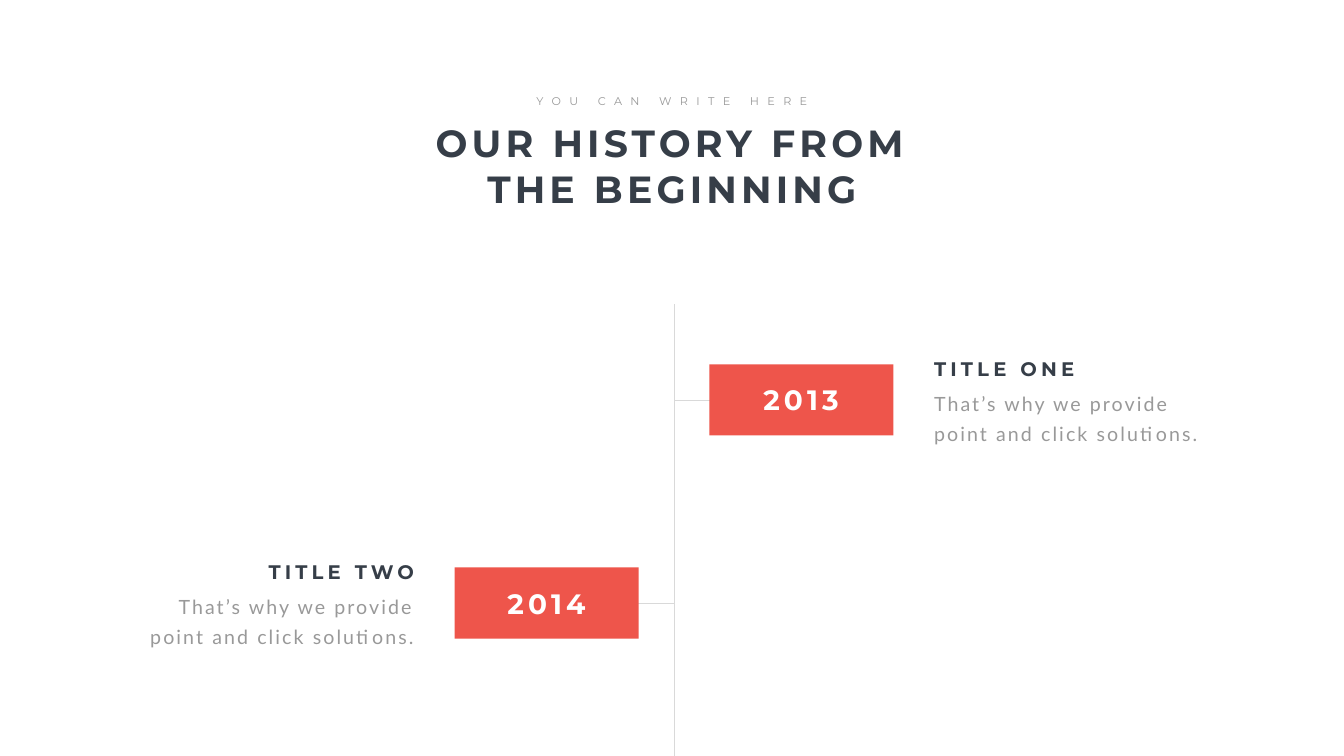
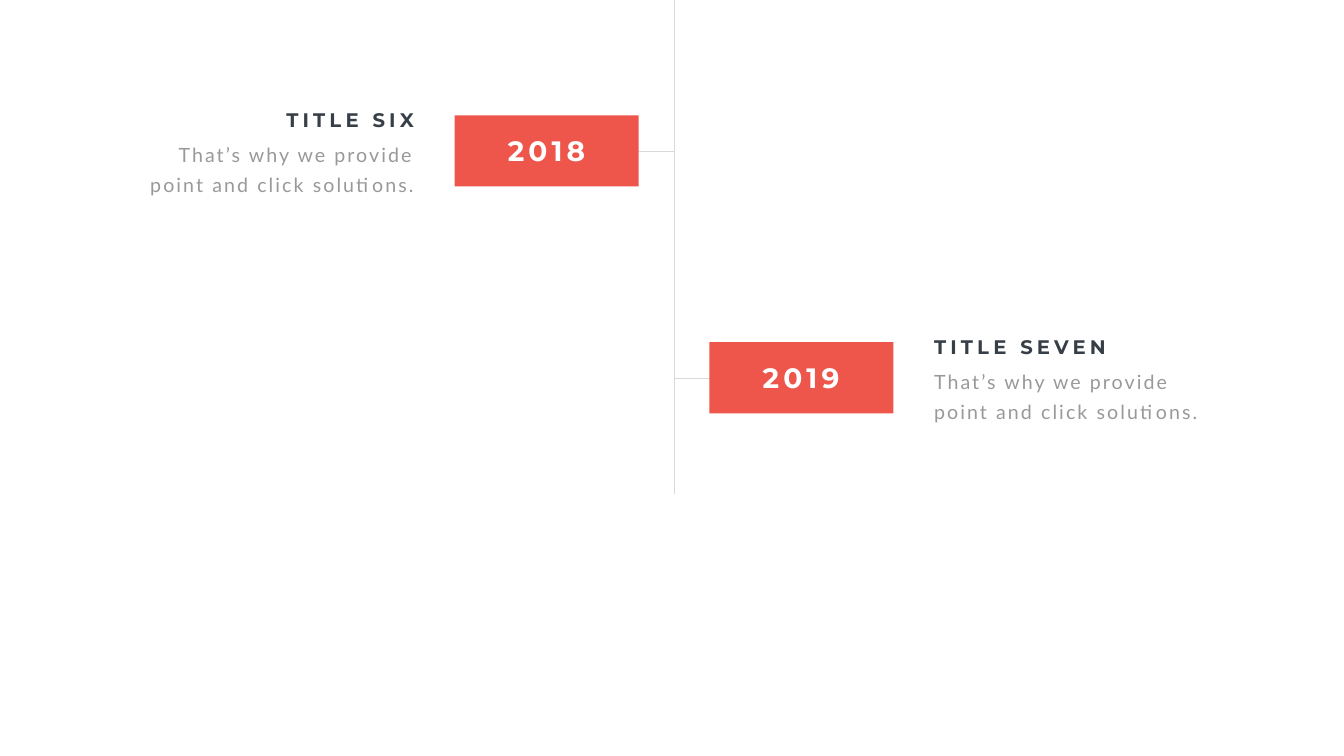
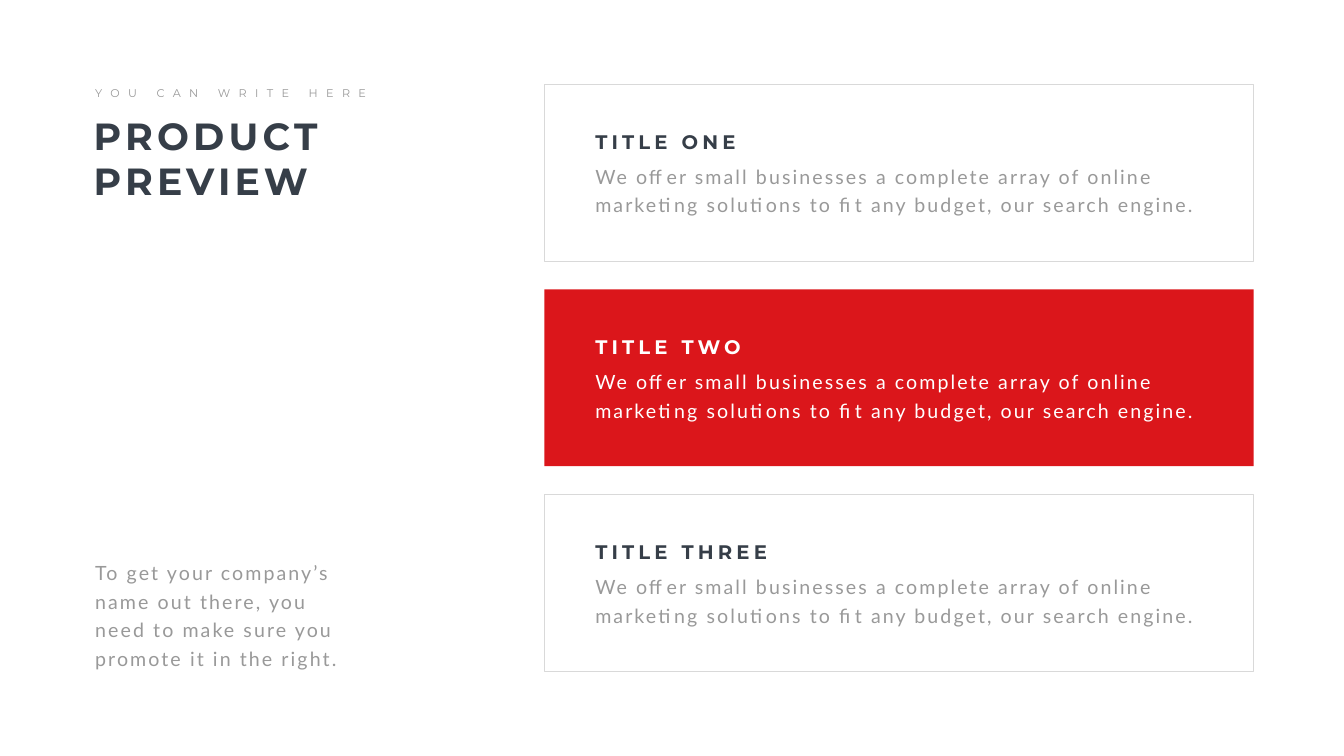
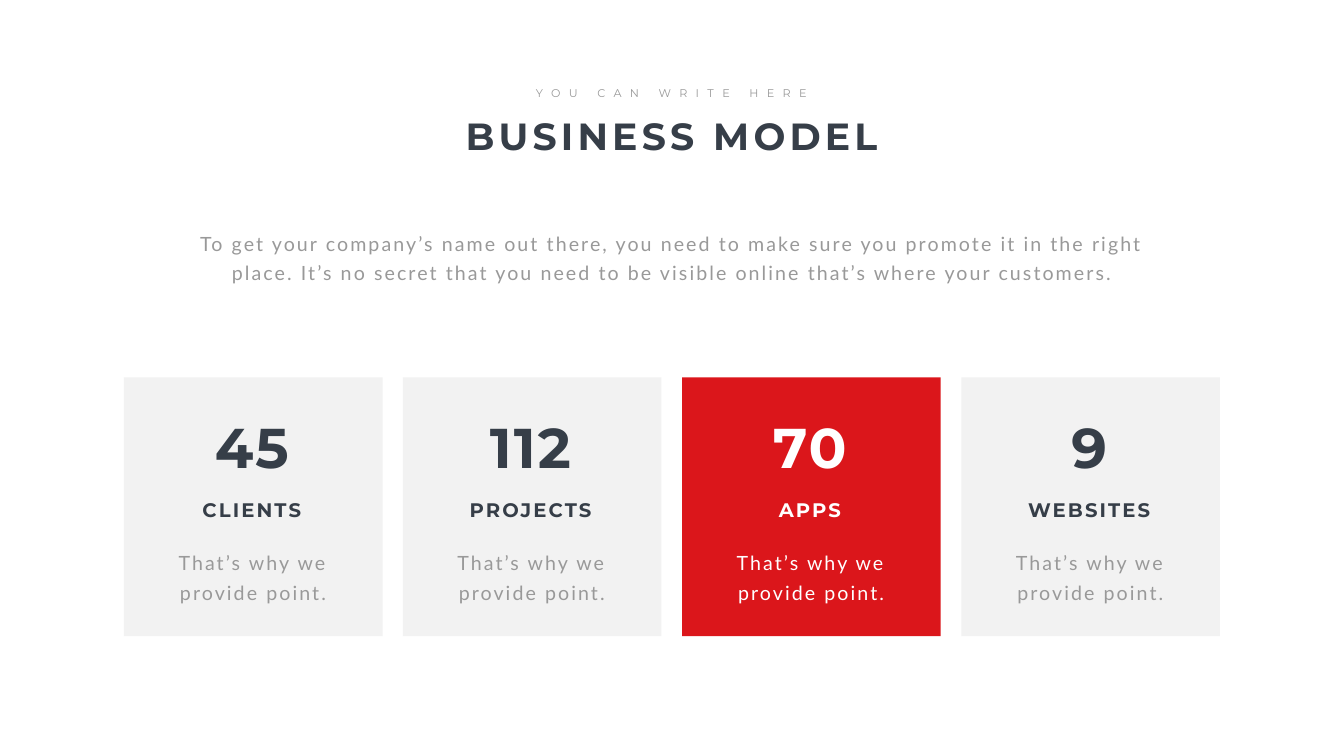
from lxml.etree import SubElement
from pptx import Presentation
from pptx.dml.color import RGBColor
from pptx.enum.shapes import MSO_CONNECTOR, MSO_SHAPE
from pptx.enum.text import MSO_AUTO_SIZE, PP_ALIGN
from pptx.oxml.ns import qn
from pptx.util import Pt

SCALE = 9144
WIDE, HIGH = 2666, 1500
AXIS = 1337
LEFT, MID, RIGHT = PP_ALIGN.LEFT, PP_ALIGN.CENTER, PP_ALIGN.RIGHT
HUES = {"ink": "363E48", "gray": "999999", "rule": "D9D9D9", "pale": "F2F2F2",
        "coral": "EE554B", "red": "DB161B", "white": "FFFFFF"}
STYLES = {
    "title": ("Montserrat", 54, True, 6),
    "lead": ("Montserrat", 16, False, 12),
    "year": ("Montserrat", 40, True, 6),
    "name": ("Montserrat", 28, True, 6),
    "label": ("Montserrat", 28, True, 3),
    "count": ("Montserrat", 80, True, 3),
    "body": ("Lato", 28, False, 3),
}
POINT = "That’s why we provide point and click solutions."
OFFER = ("We offer small businesses a complete array of online marketing "
         "solutions to fit any budget, our search engine.")
PROMPT = "To get your company’s name out there, you need to make sure you promote it in the right"


def emu(*sizes):
    """Turn px lengths into EMU."""
    return [round(size * SCALE) for size in sizes]


def hue(name):
    """Look up a colour by name."""
    return RGBColor.from_string(HUES[name])


def write(slide, box, text, style, color="ink", align=LEFT, lines=None, wrap=True):
    """Put one styled paragraph in a text box."""
    frame = slide.shapes.add_textbox(*emu(*box)).text_frame
    frame.word_wrap = wrap
    frame.auto_size = MSO_AUTO_SIZE.SHAPE_TO_FIT_TEXT
    frame.text = text
    para = frame.paragraphs[0]
    para.alignment = align
    if lines:
        para.line_spacing = Pt(lines)
    font = para.runs[0].font
    font.name, size, font.bold, space = STYLES[style]
    font.size = Pt(size)
    font.color.rgb = hue(color)
    para.runs[0]._r.get_or_add_rPr().set("spc", str(space * 100))


def block(slide, box, fill=None):
    """Draw a filled rectangle, or an outlined one when there is no fill."""
    shape = slide.shapes.add_shape(MSO_SHAPE.RECTANGLE, *emu(*box))
    shape.shadow.inherit = False
    if fill:
        shape.fill.solid()
        shape.fill.fore_color.rgb = hue(fill)
        shape.line.fill.background()
    else:
        shape.fill.background()
        shape.line.color.rgb = hue("rule")
        shape.line.width = Pt(1)


def rule(slide, *ends):
    """Draw a thin line between two points."""
    line = slide.shapes.add_connector(MSO_CONNECTOR.STRAIGHT, *emu(*ends))
    line.line.color.rgb = hue("rule")
    line.line.width = Pt(0.5)
    SubElement(line._element.spPr, qn("a:effectLst"))


def head(slide, box, text, align=MID):
    """Write the slide title and the small line above it."""
    left, top, width, _ = box
    write(slide, box, text, "title", align=align)
    start = left + (width - 578) // 2 if align == MID else left + 3
    write(slide, (start, top - 51, 578, 37), "YOU CAN WRITE HERE", "lead",
          "gray", align, wrap=False)


def event(slide, top, year, name, after):
    """Place a year on the right or left of the time axis."""
    left = 1407 if after else 902
    edge = left + 365 + 71 if after else left - 71
    align = LEFT if after else RIGHT
    rule(slide, *((AXIS, top + 71, 1469, top + 71) if after
                  else (1225, top + 71, AXIS, top + 71)))
    block(slide, (left, top, 365, 141), "coral")
    write(slide, (left + 78, top + 32, 208, 77), year, "year", "white", MID)

    def beside(width):
        """Give the left side of a text next to the year."""
        return edge if after else edge - width

    write(slide, (beside(545), top + 37, 545, 125), POINT, "body", "gray", align, 43)
    write(slide, (beside(441), top - 20, 441, 57), name, "name", align=align)


def card(slide, box, name, lit):
    """Draw one product card."""
    left, top, width, _ = box
    block(slide, box, "red" if lit else None)
    write(slide, (left + 91, top + 145, width - 177, 119), OFFER, "body",
          "white" if lit else "gray", lines=40.8)
    write(slide, (left + 91, top + 86, 441, 57), name, "name", "white" if lit else "ink")


def tile(slide, box, count, label, widths, lit):
    """Draw one figure tile."""
    left, top, width, _ = box
    dark, soft = ("white", "white") if lit else ("ink", "gray")
    broad, slim = widths
    center = left + width / 2 - 3
    block(slide, box, "red" if lit else "pale")
    write(slide, (center - broad / 2, top + 65, broad, 145), count, "count", dark, MID)
    write(slide, (center - slim / 2, top + 234, slim, 57), label, "label", dark, MID, wrap=False)
    write(slide, (left + 71, top + 326, 370, 125), "That’s why we provide point.",
          "body", soft, MID, 43)


def begin(slide):
    """Build the start of the history."""
    head(slide, (802, 233, 1062, 192), "OUR HISTORY FROM THE BEGINNING")
    rule(slide, AXIS, 604, AXIS, HIGH)
    event(slide, 723, "2013", "TITLE ONE", True)
    event(slide, 1126, "2014", "TITLE TWO", False)


def finish(slide):
    """Build the end of the history."""
    rule(slide, AXIS, 0, AXIS, 981)
    event(slide, 679, "2019", "TITLE SEVEN", True)
    event(slide, 229, "2018", "TITLE SIX", False)


def product(slide):
    """Build the product preview."""
    head(slide, (176, 218, 640, 192), "PRODUCT PREVIEW", LEFT)
    write(slide, (179, 1098, 504, 234), PROMPT + ".", "body", "gray", lines=40.8)
    for row, name in enumerate(("TITLE ONE", "TITLE TWO", "TITLE THREE")):
        card(slide, (1080, 167 + 407 * row, 1407, 351), name, row == 1)


def model(slide):
    """Build the business model."""
    head(slide, (877, 218, 911, 101), "BUSINESS MODEL")
    write(slide, (372, 446, 1922, 119), PROMPT + " place. It’s no secret that you need to "
          "be visible online that’s where your customers.", "body", "gray", MID, 40.8)
    tiles = (("45", "CLIENTS", (291, 221)), ("112", "PROJECTS", (399, 268)),
             ("70", "APPS", (294, 148)), ("9", "WEBSITES", (250, 267)))
    for col, (count, label, widths) in enumerate(tiles):
        tile(slide, (246 + 1661 * col // 3, 749, 513, 513), count, label, widths, col == 2)


def main():
    """Build and save the deck."""
    deck = Presentation()
    deck.slide_width, deck.slide_height = emu(WIDE, HIGH)
    for build in (begin, finish, product, model):
        build(deck.slides.add_slide(deck.slide_layouts[6]))
    deck.save("out.pptx")


if __name__ == "__main__":
    main()
